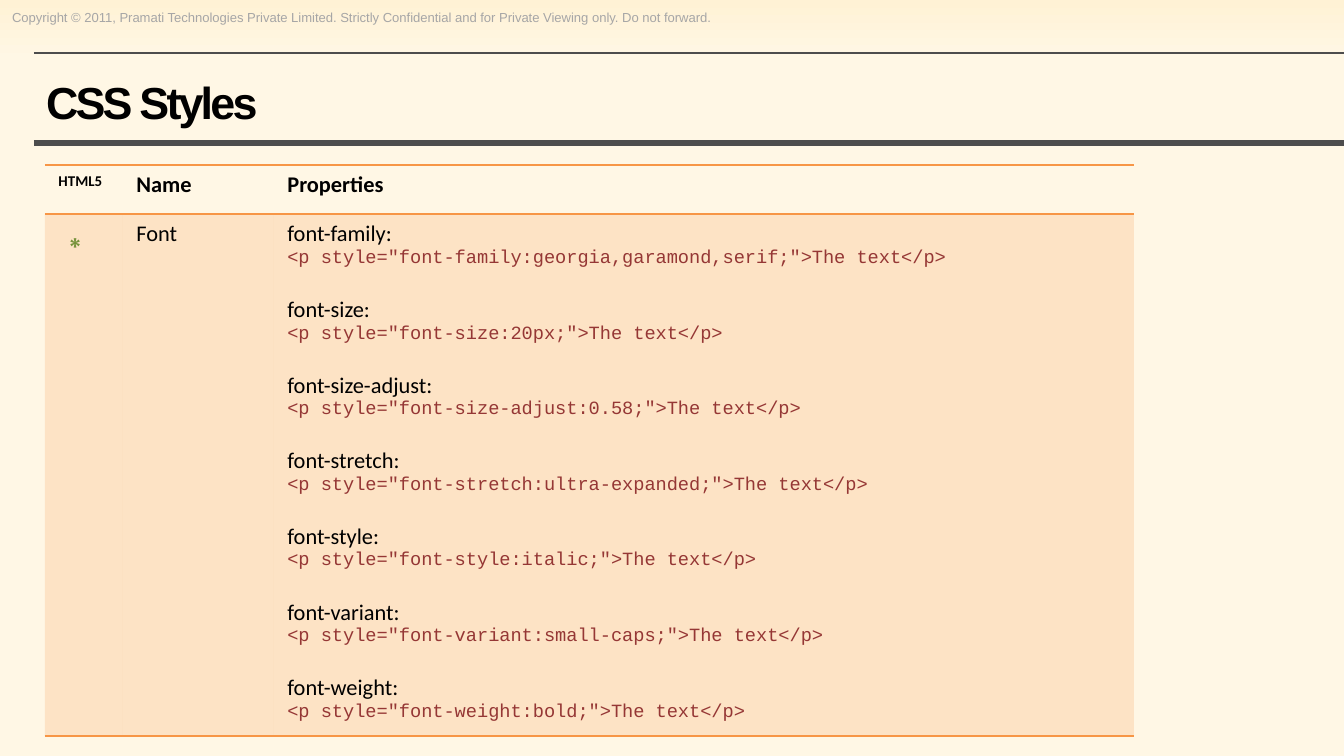
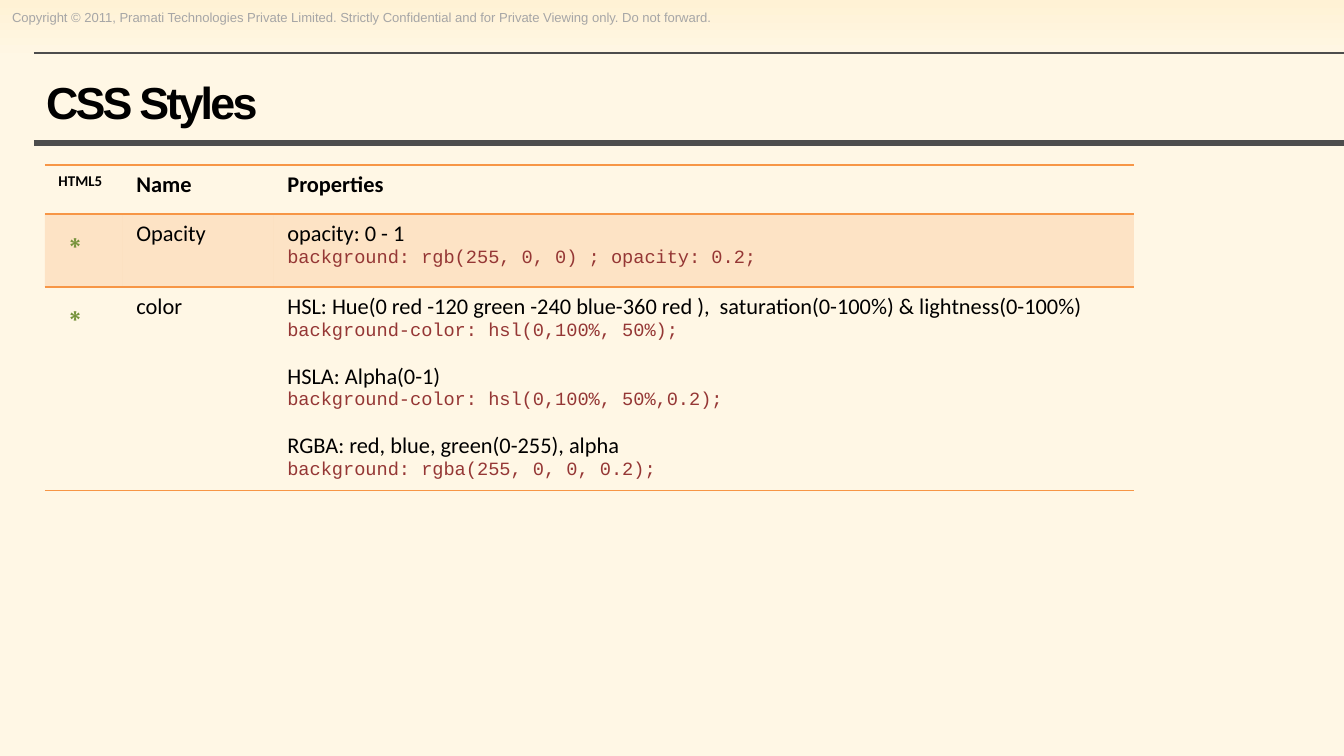
import lxml.etree
import pptx
import pptx.dml.color
import pptx.enum.shapes
import pptx.enum.text
import pptx.oxml.ns
import pptx.util

RGB = pptx.dml.color.RGBColor
BLACK = RGB(0x00, 0x00, 0x00)
WHITE = RGB(0xFF, 0xFF, 0xFF)
CREAM_DARK = RGB(0xFF, 0xF2, 0xD5)
CREAM = RGB(0xFF, 0xF7, 0xE5)
GRAY = RGB(0x4D, 0x4D, 0x4D)
LIGHT_GRAY = RGB(0xA6, 0xA6, 0xA6)
ORANGE = RGB(0xF7, 0x96, 0x46)
GREEN = RGB(0x77, 0x93, 0x3C)
MAROON = RGB(0x95, 0x37, 0x35)

SLIDE_W, SLIDE_H = 1344, 756
NO_STYLE = "{2D5ABB26-0587-4C30-8999-92F81FD0307C}"
COLUMNS = (78, 151, 860)
HEADER_H = 49
COPYRIGHT = ("Copyright © 2011, Pramati Technologies Private Limited. "
             "Strictly Confidential and for Private Viewing only. Do not forward.")

# Each row: name, height, space between properties (pt), (label, code) pairs
FONT_ROWS = [
    ("Font", 516, 14.6, [
        (f"{name}:", f'<p style="{name}:{value};">The text</p>')
        for name, value in (
            ("font-family", "georgia,garamond,serif"),
            ("font-size", "20px"),
            ("font-size-adjust", "0.58"),
            ("font-stretch", "ultra-expanded"),
            ("font-style", "italic"),
            ("font-variant", "small-caps"),
            ("font-weight", "bold"),
        )
    ]),
]
COLOR_ROWS = [
    ("Opacity", 73, 0, [
        ("opacity: 0 - 1", "background: rgb(255, 0, 0) ; opacity: 0.2;"),
    ]),
    ("color", 200, 11.3, [
        ("HSL: Hue(0 red -120 green -240 blue-360 red ),  "
         "saturation(0-100%) & lightness(0-100%)",
         "background-color: hsl(0,100%, 50%);"),
        ("HSLA: Alpha(0-1)", "background-color: hsl(0,100%, 50%,0.2);"),
        ("RGBA: red, blue, green(0-255), alpha", "background: rgba(255, 0, 0, 0.2);"),
    ]),
]


def px(n):
    return pptx.util.Emu(round(n * 914400 / 134.4))


def sub(parent, tag, **attrs):
    return lxml.etree.SubElement(parent, pptx.oxml.ns.qn(tag), attrs)


def write(tf, text, size=12, font="Calibri", color=BLACK, bold=False, before=0):
    """Fill the empty first paragraph, or add another one after it."""
    p = tf.paragraphs[0] if not tf.text else tf.add_paragraph()
    if before:
        p.space_before = pptx.util.Pt(before)
    r = p.add_run()
    r.text = text
    r.font.size = pptx.util.Pt(size)
    r.font.name = font
    r.font.bold = bold
    r.font.color.rgb = color
    return r


def add_box(s, x, y, w, h, wrap):
    tf = s.shapes.add_textbox(px(x), px(y), px(w), px(h)).text_frame
    tf.word_wrap = wrap
    tf.margin_left = tf.margin_right = px(12)
    tf.margin_top = tf.margin_bottom = px(6)
    return tf


def add_rule(s, x, y, w, weight):
    line = s.shapes.add_connector(
        pptx.enum.shapes.MSO_CONNECTOR.STRAIGHT, px(x), px(y), px(x + w), px(y))
    line.line.color.rgb = GRAY
    line.line.width = pptx.util.Pt(weight)
    sub(line._element.spPr, "a:effectLst")


def add_background(s):
    fill = s.background.fill
    fill.gradient()
    fill.gradient_angle = 270
    for stop, color, position in zip(fill.gradient_stops, (CREAM_DARK, CREAM), (0, 0.08)):
        stop.color.rgb = color
        stop.position = position


def add_title(s, text, x, y, w, h):
    tf = add_box(s, x, y, w, h, wrap=True)
    tf.vertical_anchor = pptx.enum.text.MSO_ANCHOR.MIDDLE
    rpr = write(tf, text, size=24, font="Arial", bold=True).font._element
    rpr.set("spc", "-150")
    # White shadow below the letters
    effects = sub(rpr, "a:effectLst")
    shadow = sub(effects, "a:outerShdw", dist="25400", dir="2700000")
    sub(shadow, "a:srgbClr", val=str(WHITE))
    rpr.find(pptx.oxml.ns.qn("a:solidFill")).addnext(effects)


def add_frame(s, title):
    add_background(s)
    tf = add_box(s, 0, 3, 746, 28, wrap=False)
    write(tf, COPYRIGHT, size=7, font="Arial", color=LIGHT_GRAY)
    add_rule(s, 34, 143, SLIDE_W - 34, 3)
    add_rule(s, 34, 53, SLIDE_W - 34, 0.75)
    add_title(s, title, 34, 60, 1254, 84)


def format_cell(cell, shaded, top, bottom):
    tcpr = cell._tc.get_or_add_tcPr()
    # Borders come before the fill
    for tag, drawn in (("a:lnT", top), ("a:lnB", bottom)):
        if drawn:
            ln = sub(tcpr, tag, w="12700")
            sub(sub(ln, "a:solidFill"), "a:srgbClr", val=str(ORANGE))
    if shaded:
        color = sub(sub(tcpr, "a:solidFill"), "a:srgbClr", val=str(ORANGE))
        sub(color, "a:alpha", val="20000")
    else:
        sub(tcpr, "a:noFill")


def add_style_table(s, rows, x, y):
    heights = [HEADER_H] + [row[1] for row in rows]
    table = s.shapes.add_table(len(heights), len(COLUMNS), px(x), px(y),
                               px(sum(COLUMNS)), px(sum(heights))).table
    table._tbl.tblPr.find(pptx.oxml.ns.qn("a:tableStyleId")).text = NO_STYLE
    table.first_row = table.horz_banding = False
    for column, width in zip(table.columns, COLUMNS):
        column.width = px(width)

    # Fills and rules
    for i, height in enumerate(heights):
        table.rows[i].height = px(height)
        for cell in table.rows[i].cells:
            format_cell(cell, shaded=i % 2 == 1, top=i < 2,
                        bottom=i in (0, len(rows)))

    # Header
    for j, (text, size) in enumerate((("HTML5", 8), ("Name", 12), ("Properties", 12))):
        write(table.cell(0, j).text_frame, text, size=size, bold=True)

    # Body
    for i, (name, _, gap, properties) in enumerate(rows, 1):
        mark, label_cell, detail = (table.cell(i, j).text_frame for j in range(3))
        write(mark, "∗", size=18, font="Arial", color=GREEN, bold=True)
        write(label_cell, name)
        for k, (label, code) in enumerate(properties):
            write(detail, label, before=gap if k else 0)
            write(detail, code, size=10, font="Courier New", color=MAROON)


def add_styles_slide(prs, rows):
    s = prs.slides.add_slide(prs.slide_layouts[6])
    add_frame(s, "CSS Styles")
    add_style_table(s, rows, 45, 165)


def main():
    prs = pptx.Presentation()
    prs.slide_width, prs.slide_height = px(SLIDE_W), px(SLIDE_H)
    for rows in (FONT_ROWS, COLOR_ROWS):
        add_styles_slide(prs, rows)
    prs.save("out.pptx")


if __name__ == "__main__":
    main()
